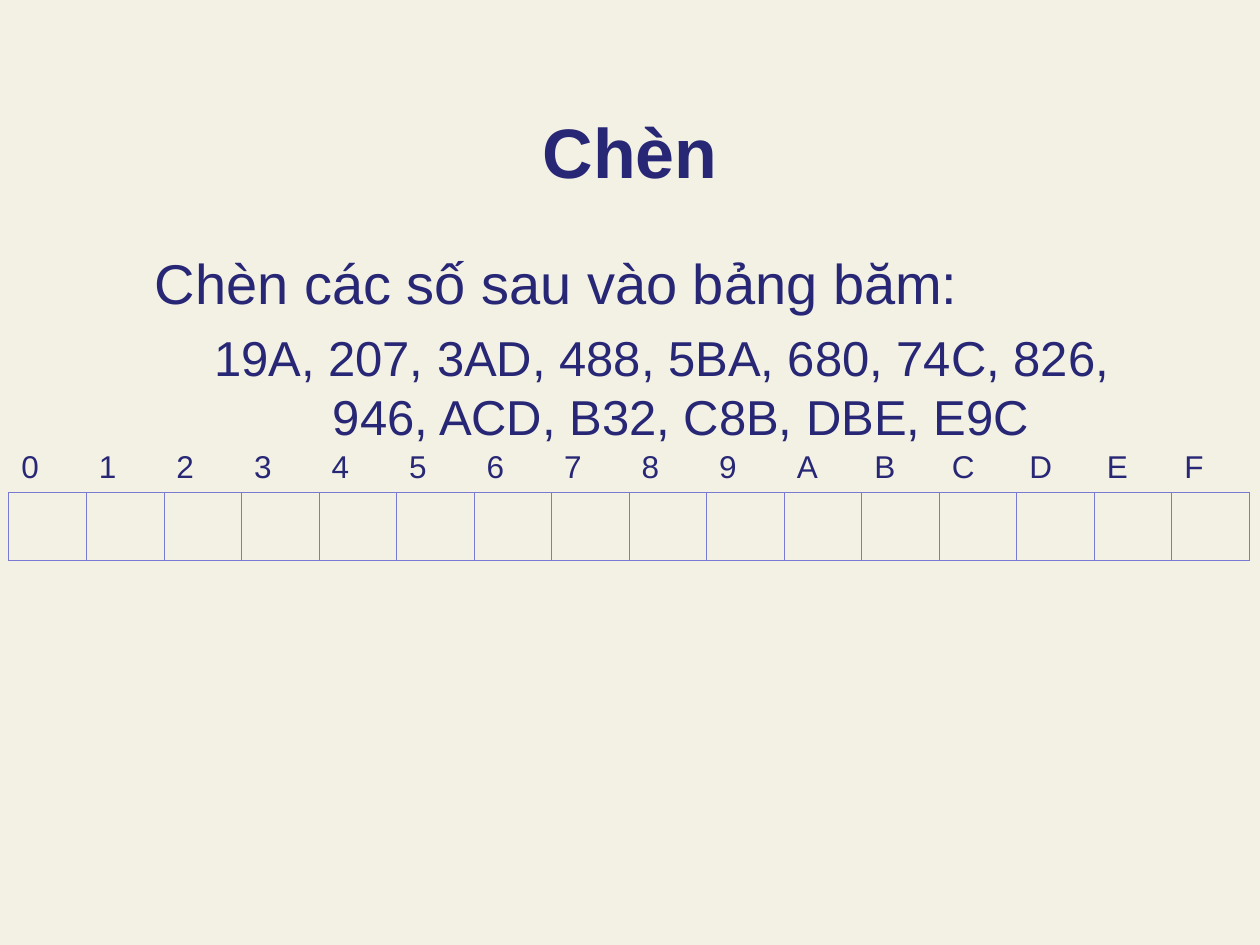
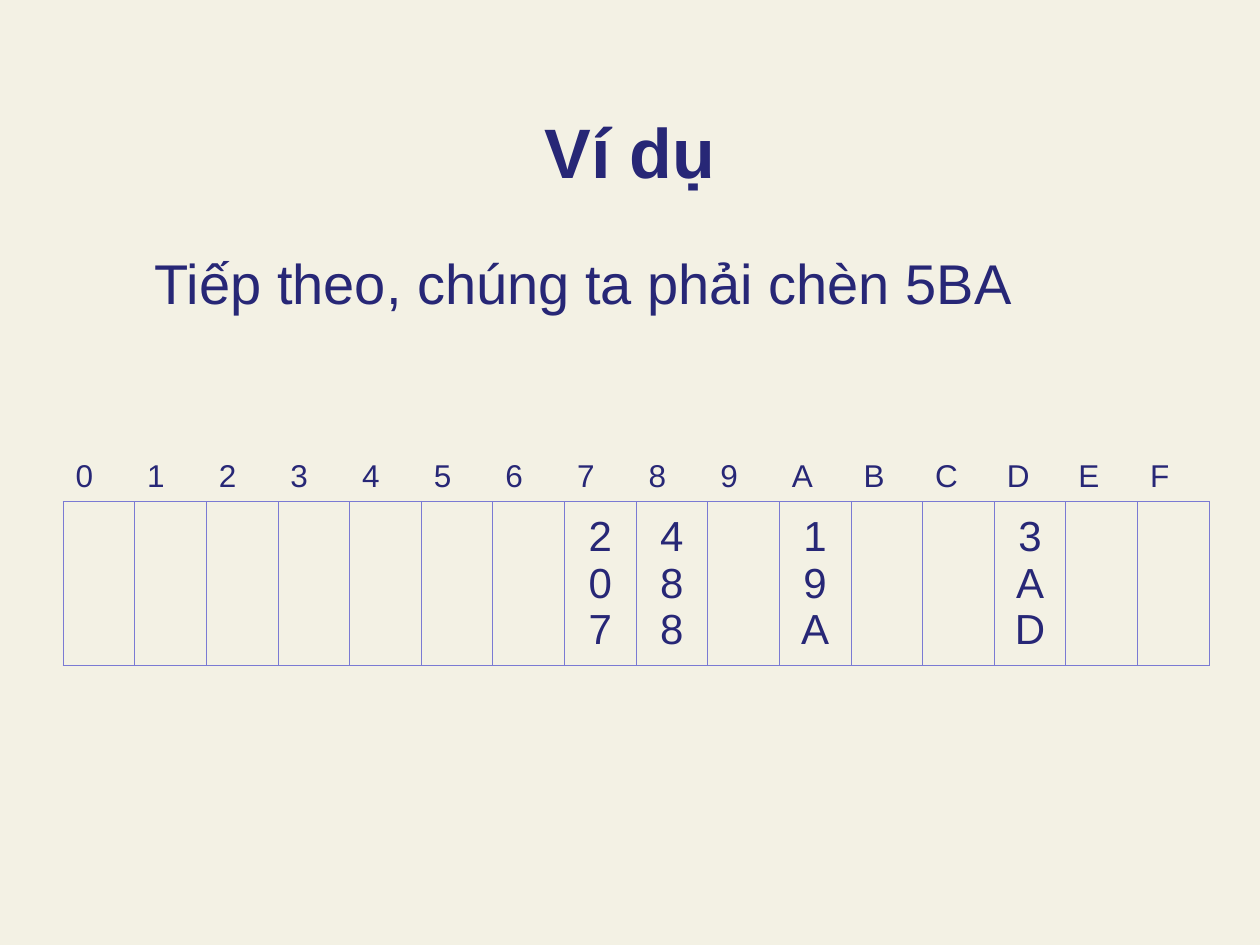
import pptx
import pptx.util
import pptx.dml.color
import pptx.enum.text
import lxml.etree
from dataclasses import dataclass
from pptx.util import Inches

ALIGN = pptx.enum.text.PP_ALIGN
ANCHOR = pptx.enum.text.MSO_ANCHOR


@dataclass(frozen=True)
class Theme:
    background: str = "F3F1E4"
    ink: str = "272776"
    grid: str = "7A7AD3"
    font: str = "Arial"
    title_size: int = 40
    lead_size: int = 32
    keys_size: int = 28
    stored_size: int = 24
    index_size: int = 18
    grid_width: float = 0.45


theme = Theme()
NO_GRID_STYLE = "{2D5ABB26-0587-4C30-8999-92F81FD0307C}"
SLOTS = "0123456789ABCDEF"


def add_run(paragraph, text, size, bold=False):
    run = paragraph.add_run()
    run.text = text
    run.font.name = theme.font
    run.font.size = pptx.util.Pt(size)
    run.font.bold = bold
    run.font.color.rgb = pptx.dml.color.RGBColor.from_string(theme.ink)


def add_borders(cell, sides):
    """Draw thin grid lines; border elements precede the fill."""
    properties = cell._tc.get_or_add_tcPr()
    for position, side in enumerate(sides):
        line = lxml.etree.Element(pptx.oxml.ns.qn(f"a:ln{side}"),
                                  w=str(pptx.util.Pt(theme.grid_width)))
        fill = lxml.etree.SubElement(line, pptx.oxml.ns.qn("a:solidFill"))
        lxml.etree.SubElement(fill, pptx.oxml.ns.qn("a:srgbClr"), val=theme.grid)
        properties.insert(position, line)


# Content: each stored key sits in the slot of its last hex digit
lessons = [
    {
        "title": "Chèn",
        "lead": "Chèn các số sau vào bảng băm:",
        "keys": "19A, 207, 3AD, 488, 5BA, 680, 74C, 826, 946, ACD, B32, C8B, DBE, E9C",
        "stored": [],
        "table_at": (0.07, 3.51, 9.85),
        "row_heights": (0.33, 0.54),
    },
    {
        "title": "Ví dụ",
        "lead": "Tiếp theo, chúng ta phải chèn 5BA",
        "keys": None,
        "stored": ["207", "488", "19A", "3AD"],
        "table_at": (0.5, 3.58, 9.1),
        "row_heights": (0.3, 0.8),
    },
]

# Presentation and shared background
deck = pptx.Presentation()
deck.slide_width, deck.slide_height = Inches(10), Inches(7.5)
backdrop = deck.slide_master.background.fill
backdrop.solid()
backdrop.fore_color.rgb = pptx.dml.color.RGBColor.from_string(theme.background)

for lesson in lessons:
    slide = deck.slides.add_slide(deck.slide_layouts[5])

    # Title
    title = slide.shapes.title
    title.left, title.top = Inches(0.75), Inches(0.5)
    title.width, title.height = Inches(8.5), Inches(1.08)
    title.text_frame.vertical_anchor = ANCHOR.BOTTOM
    heading = title.text_frame.paragraphs[0]
    heading.alignment = ALIGN.CENTER
    add_run(heading, lesson["title"], theme.title_size, bold=True)

    # Instruction and the keys to insert
    instruction = slide.shapes.add_textbox(
        Inches(0.75), Inches(1.92), Inches(8.5), Inches(4.67)).text_frame
    instruction.word_wrap = True
    lead = instruction.paragraphs[0]
    lead._p.get_or_add_pPr().set("marL", str(Inches(0.38)))
    add_run(lead, lesson["lead"], theme.lead_size)
    if lesson["keys"]:
        keys = instruction.add_paragraph()
        keys.level = 1
        keys.alignment = ALIGN.CENTER
        keys.space_before = pptx.util.Pt(7)
        keys._p.get_or_add_pPr().set("marL", str(Inches(0.81)))
        keys._p.get_or_add_pPr().set("indent", str(Inches(-0.31)))
        add_run(keys, lesson["keys"], theme.keys_size)

    # Hash table: slot numbers above, stored keys below
    left, top, width = lesson["table_at"]
    hash_table = slide.shapes.add_table(
        2, len(SLOTS), Inches(left), Inches(top), Inches(width),
        Inches(sum(lesson["row_heights"]))).table
    hash_table.first_row = hash_table.horz_banding = False
    hash_table._tbl.tblPr.find(pptx.oxml.ns.qn("a:tableStyleId")).text = NO_GRID_STYLE
    for row, height in zip(hash_table.rows, lesson["row_heights"]):
        row.height = Inches(height)

    key_in_slot = {key[-1]: key for key in lesson["stored"]}
    for column, slot in enumerate(SLOTS):
        hash_table.columns[column].width = Inches(width / len(SLOTS))
        index_cell, key_cell = (hash_table.cell(row, column) for row in range(2))
        for cell, sides in ((index_cell, "B"), (key_cell, "LRTB")):
            cell.vertical_anchor = ANCHOR.MIDDLE
            cell.fill.background()
            add_borders(cell, sides)
        add_run(index_cell.text_frame.paragraphs[0], slot, theme.index_size)
        if slot in key_in_slot:
            stored_key = key_cell.text_frame.paragraphs[0]
            stored_key.alignment = ALIGN.CENTER
            add_run(stored_key, key_in_slot[slot], theme.stored_size)

deck.save("out.pptx")
